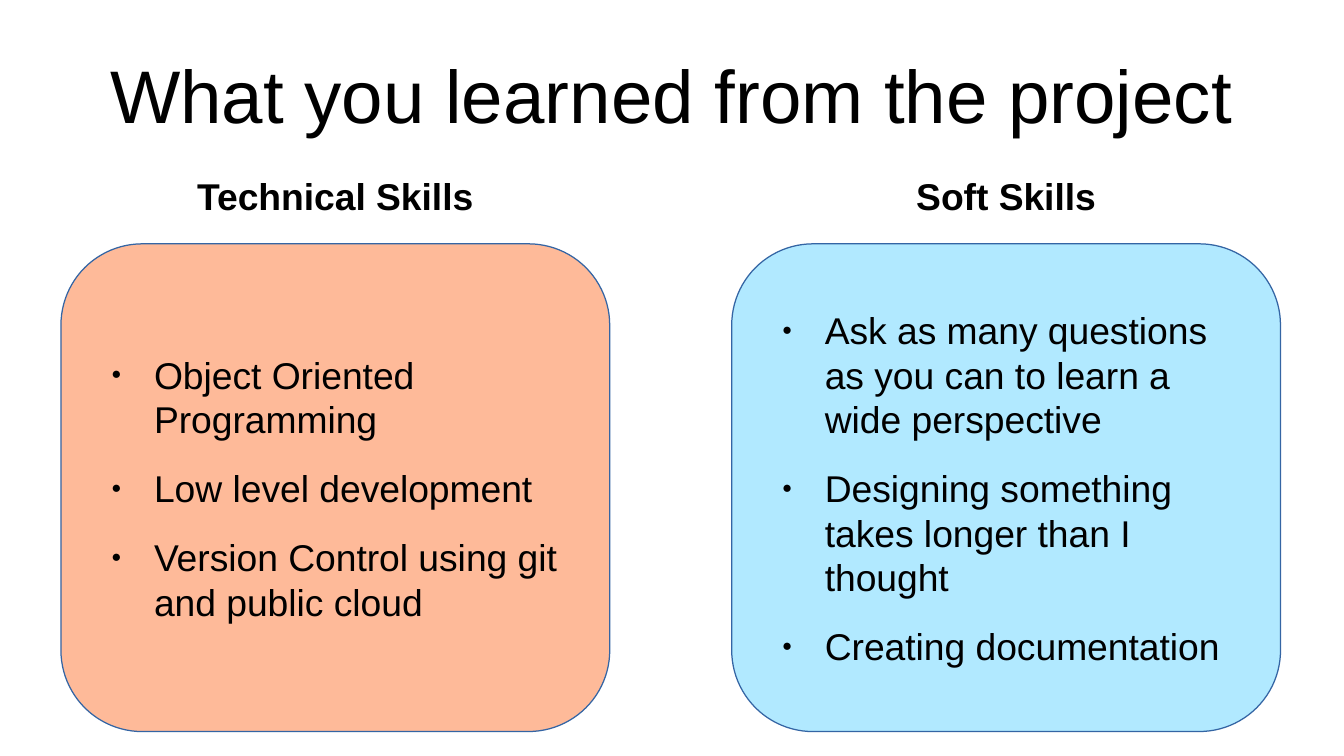
from lxml import etree
from pptx import Presentation, util as u
from pptx.dml.color import RGBColor
from pptx.enum import shapes, text
from pptx.oxml.ns import qn

PX = 9144  # EMU per px, 100 px to the inch
FONT = "Arial"
BLACK = RGBColor(0x00, 0x00, 0x00)
BLUE = RGBColor(0x34, 0x65, 0xA4)
PEACH = RGBColor(0xFE, 0xBA, 0x99)
SKY = RGBColor(0xB1, 0xE9, 0xFF)

TECHNICAL = [
    "Object Oriented Programming",
    "Low level development",
    "Version Control using git and public cloud",
]
SOFT = [
    "Ask as many questions as you can to learn a wide perspective",
    "Designing something takes longer than I thought",
    "Creating documentation",
]


def px(*lengths):
    return [u.Emu(n * PX) for n in lengths]


def add_bullet(p):
    pPr = p._p.get_or_add_pPr()
    pPr.set("marL", str(47 * PX))
    pPr.set("indent", str(-35 * PX))
    color = etree.SubElement(pPr, qn("a:buClr"))
    etree.SubElement(color, qn("a:srgbClr"), val=str(BLACK))
    etree.SubElement(pPr, qn("a:buSzPct"), val="45000")
    etree.SubElement(pPr, qn("a:buFont"), typeface=FONT)
    etree.SubElement(pPr, qn("a:buChar"), char="●")


def write(sp, lines, size=22, bold=False, align=text.PP_ALIGN.CENTER,
          anchor=text.MSO_ANCHOR.TOP, insets=(10, 5), bullets=False):
    tf = sp.text_frame
    tf.word_wrap = True
    tf.vertical_anchor = anchor
    tf.margin_left = tf.margin_right = px(insets[0])[0]
    tf.margin_top = tf.margin_bottom = px(insets[1])[0]
    for i, line in enumerate(lines):
        p = tf.add_paragraph() if i else tf.paragraphs[0]
        p.alignment = align
        if bullets:
            add_bullet(p)
        if i:
            p.space_before = u.Pt(14.2)
        r = p.add_run()
        r.text = line
        r.font.name = FONT
        r.font.size = u.Pt(size)
        r.font.bold = bold
        r.font.color.rgb = BLACK


def add_title(s, x, y, w, h):
    write(s.shapes.add_textbox(*px(x, y, w, h)),
          ["What you learned from the project"], size=44,
          anchor=text.MSO_ANCHOR.MIDDLE, insets=(0, 0))


def add_skills(s, x, y, w, h, heading, skills, fill):
    """Place a heading above a rounded card of bulleted skills."""
    write(s.shapes.add_textbox(*px(x + 100, y, 250, 44)), [heading], bold=True)
    card = s.shapes.add_shape(shapes.MSO_SHAPE.FLOWCHART_ALTERNATE_PROCESS,
                              *px(x, y + 63, w, h - 63))
    card.shadow.inherit = False
    card.fill.solid()
    card.fill.fore_color.rgb = fill
    card.line.color.rgb = BLUE
    card.line.width = u.Pt(0)
    write(card, skills, align=text.PP_ALIGN.LEFT,
          anchor=text.MSO_ANCHOR.MIDDLE, bullets=True)


def main():
    prs = Presentation()
    prs.slide_width, prs.slide_height = px(1102, 620)
    s = prs.slides.add_slide(prs.slide_layouts[6])
    add_title(s, 55, 25, 992, 104)
    columns = [("Technical Skills", TECHNICAL, PEACH), ("Soft Skills", SOFT, SKY)]
    for i, column in enumerate(columns):
        add_skills(s, 50 + 550 * i, 137, 450, 463, *column)
    prs.save("out.pptx")


if __name__ == "__main__":
    main()
